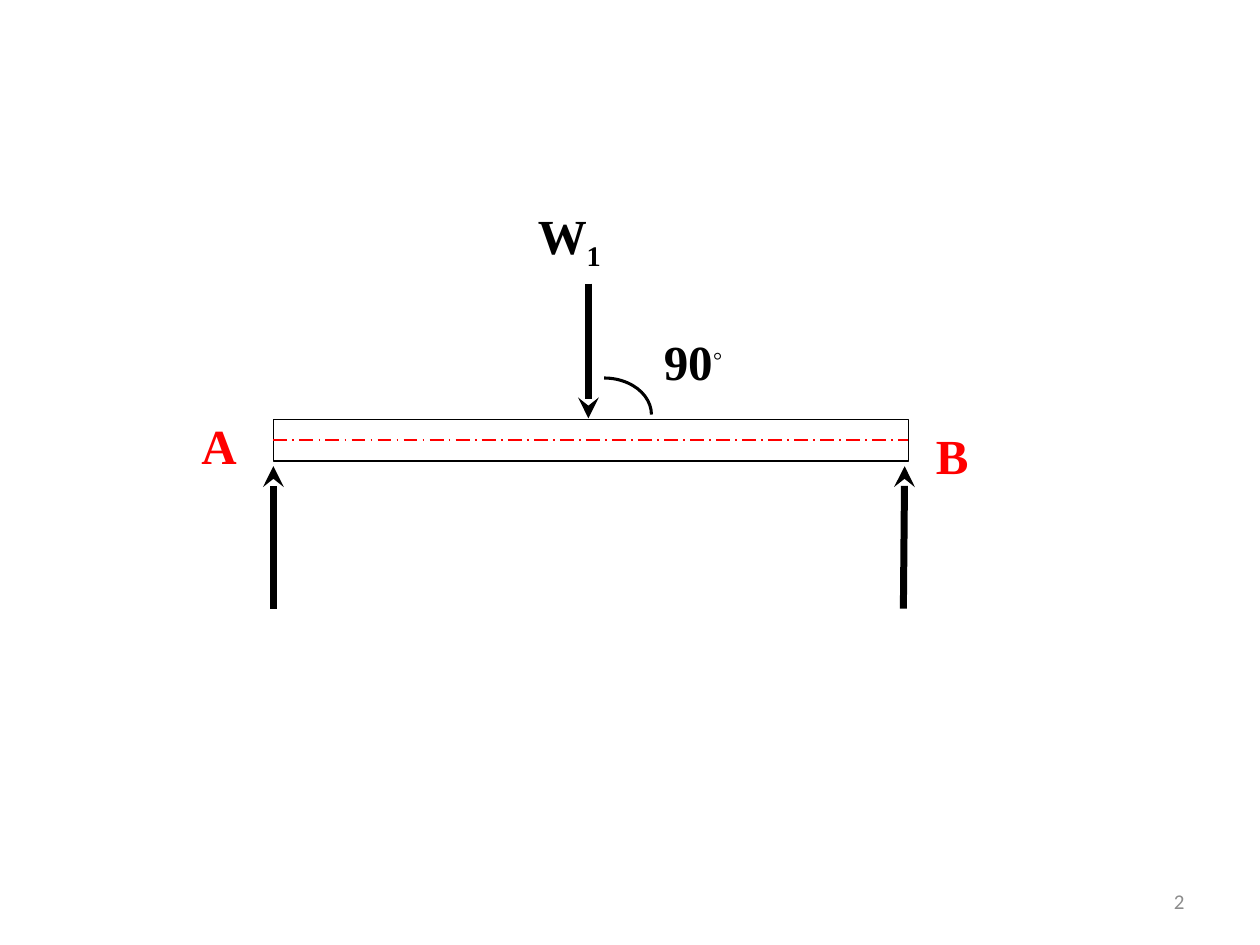
from lxml.etree import SubElement as Sub
from pptx import Presentation
from pptx.dml.color import RGBColor as RGB
from pptx.enum.dml import MSO_LINE as Dash
from pptx.enum.shapes import MSO_CONNECTOR as Conn, MSO_SHAPE as Shape
from pptx.enum.text import MSO_ANCHOR as Anchor, PP_ALIGN as Align
from pptx.oxml.ns import qn
from pptx.util import Inches, Pt

INK = {"black": "000000", "white": "FFFFFF", "red": "FF0000", "gray": "8C8C8C"}

deck = Presentation()
deck.slide_width, deck.slide_height = Inches(10), Inches(7.5)
slide = deck.slides.add_slide(deck.slide_layouts[6])
shapes = slide.shapes


def draw(ends, hue, width):
    line = shapes.add_connector(Conn.STRAIGHT, *map(Inches, ends))
    line.line.color.rgb = RGB.from_string(INK[hue])
    line.line.width = Pt(width)
    Sub(line._element.spPr, qn("a:effectLst"))
    return line


def write(area, runs, hue, look):
    box = shapes.add_textbox(*map(Inches, area))
    box.text_frame.word_wrap = True
    para = box.text_frame.paragraphs[0]
    for text, shift in runs:
        run = para.add_run()
        run.text = text
        for name, value in look.items():
            setattr(run.font, name, value)
        run.font.color.rgb = RGB.from_string(INK[hue])
        if shift:
            run._r.get_or_add_rPr().set("baseline", str(shift * 1000))
    return box.text_frame


beam = shapes.add_shape(Shape.RECTANGLE, *map(Inches, (2.17, 3.33, 5.04, 0.33)))
beam.fill.solid()
beam.fill.fore_color.rgb = RGB.from_string(INK["white"])
angle = shapes.add_shape(Shape.ARC, *map(Inches, (4.42, 3, 0.75, 0.58)))
angle.fill.background()
for form, width in ((beam, 0.75), (angle, 1.75)):
    form.shadow.inherit = False
    form.line.color.rgb = RGB.from_string(INK["black"])
    form.line.width = Pt(width)

for ends in ((2.17, 4.83, 2.17, 3.7), (7.17, 4.83, 7.18, 3.7), (4.67, 2.25, 4.67, 3.32)):
    force = draw(ends, "black", 4)
    Sub(force.line._get_or_add_ln(), qn("a:tailEnd"), type="stealth")

axis = draw((2.17, 3.5, 7.21, 3.5), "red", 1)
axis.line.dash_style = Dash.LONG_DASH_DOT
axis.begin_connect(beam, 1)
axis.end_connect(beam, 3)

bold = {"name": "Times New Roman", "size": Pt(28), "bold": True}
for area, runs, hue in (
    ((4.17, 1.58, 0.83, 0.57), (("W", 0), ("1", -25)), "black"),
    ((1.5, 3.25, 0.5, 0.58), (("A", 0),), "red"),
    ((7.33, 3.33, 0.5, 0.57), (("B", 0),), "red"),
    ((5.17, 2.58, 0.83, 0.57), (("90", 0), ("◦", 30)), "black"),
):
    write(area, runs, hue, bold)

plain = {"name": "Calibri", "size": Pt(12)}
page = write((7.17, 6.95, 2.33, 0.4), (("2", 0),), "gray", plain)
page.vertical_anchor = Anchor.MIDDLE
page.paragraphs[0].alignment = Align.RIGHT

deck.save("out.pptx")
